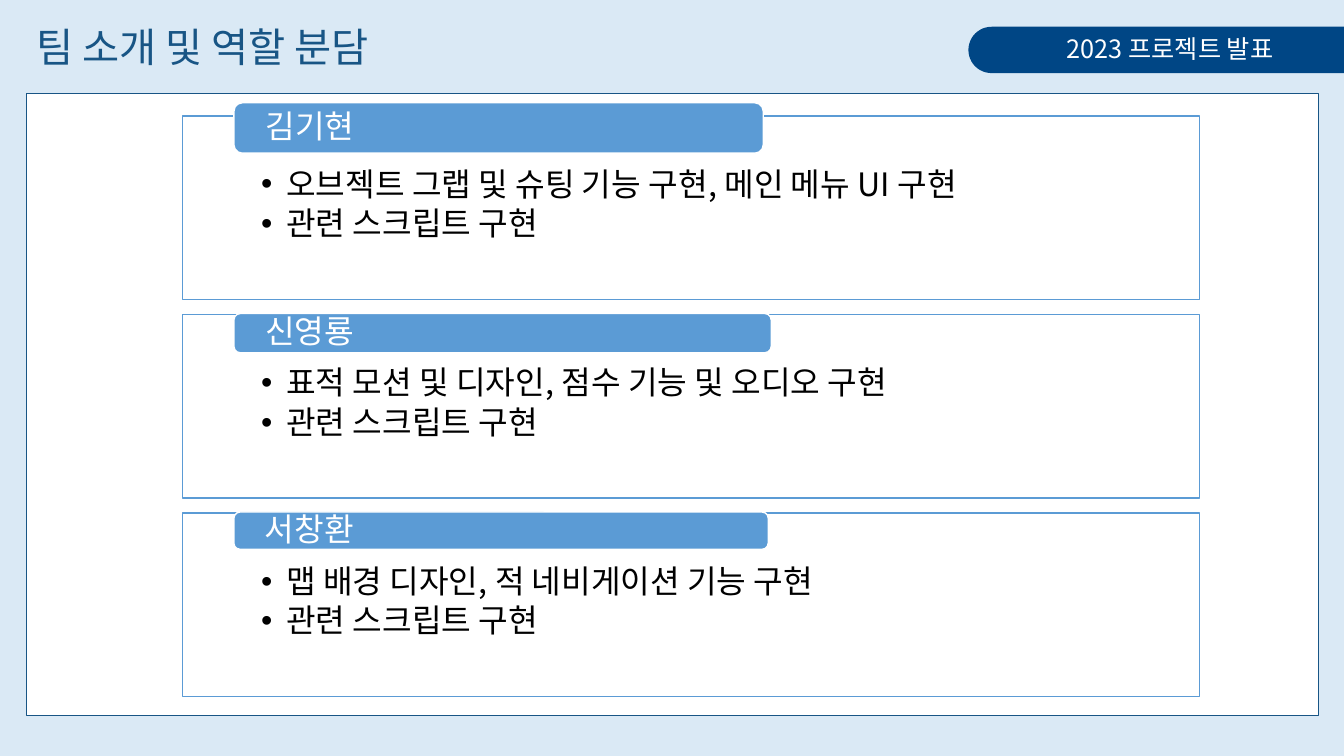
from lxml import etree
from pptx import Presentation
from pptx.dml.color import RGBColor
from pptx.enum.shapes import MSO_SHAPE
from pptx.enum.text import MSO_ANCHOR, PP_ALIGN
from pptx.oxml.ns import qn
from pptx.util import Inches, Pt

RECTANGLE = MSO_SHAPE.RECTANGLE
ROUNDED = MSO_SHAPE.ROUNDED_RECTANGLE
ROUND_TOP = MSO_SHAPE.ROUND_2_SAME_RECTANGLE
TOP, MIDDLE = MSO_ANCHOR.TOP, MSO_ANCHOR.MIDDLE
LEFT, CENTER = PP_ALIGN.LEFT, PP_ALIGN.CENTER
FONT = "Noto Sans CJK KR"
WHITE, BLACK, NAVY, BLUE, ACCENT, PALE = (
    "FFFFFF", "000000", "004685", "185585", "5B9BD5", "DAE9F5")

CARD_LEFT, CARD_TOP, CARD_WIDTH, CARD_HEIGHT, CARD_PITCH = 1.81, 1.15, 10.09, 1.82, 1.97
TAB_LEFT = 2.32
SHARED_TASK = "관련 스크립트 구현"
MEMBERS = [
    ("김기현", "오브젝트 그랩 및 슈팅 기능 구현, 메인 메뉴 UI 구현", (-0.13, 5.25, 0.5)),
    ("신영룡", "표적 모션 및 디자인, 점수 기능 및 오디오 구현", (-0.01, 5.33, 0.39)),
    ("서창환", "맵 배경 디자인, 적 네비게이션 기능 구현", (-0.01, 5.3, 0.37)),
]


def color(value):
    return RGBColor.from_string(value)


def add_box(slide, kind, box, fill, line=None):
    shape = slide.shapes.add_shape(kind, *map(Inches, box))
    shape.shadow.inherit = False
    shape.fill.solid()
    shape.fill.fore_color.rgb = color(fill)
    if line:
        shape.line.color.rgb = color(line)
        shape.line.width = Pt(1)
    else:
        shape.line.fill.background()
    return shape


def add_bullet(paragraph):
    properties = paragraph._p.get_or_add_pPr()
    properties.set("marL", str(Inches(0.25)))
    properties.set("indent", str(Inches(-0.25)))
    etree.SubElement(properties, qn("a:buFont")).set("typeface", "Arial")
    etree.SubElement(properties, qn("a:buChar")).set("char", "•")


def write(shape, lines, size, ink, insets, anchor=MIDDLE, align=LEFT,
          spacing=0.9, after=0, wrap=True, bullets=False):
    frame = shape.text_frame
    margins = dict(zip(("margin_left", "margin_top", "margin_right", "margin_bottom"),
                       map(Inches, insets)))
    for name, value in {**margins, "word_wrap": wrap, "vertical_anchor": anchor}.items():
        setattr(frame, name, value)
    for index, line in enumerate(lines):
        paragraph = frame.paragraphs[0] if index == 0 else frame.add_paragraph()
        for name, value in {"alignment": align, "line_spacing": spacing,
                            "space_after": Pt(after)}.items():
            setattr(paragraph, name, value)
        if bullets:
            add_bullet(paragraph)
        run = paragraph.add_run()
        run.text = line
        for name, value in {"size": Pt(size), "name": FONT}.items():
            setattr(run.font, name, value)
        run.font.color.rgb = color(ink)
        east_asian = etree.SubElement(run._r.get_or_add_rPr(), qn("a:ea"))
        east_asian.set("typeface", FONT)


def add_label(slide, box, text, size, ink, **options):
    label = slide.shapes.add_textbox(*map(Inches, box))
    write(label, [text], size, ink, (0.1, 0.05, 0.1, 0.05), **options)


def add_ribbon(slide):
    ribbon = add_box(slide, ROUND_TOP, (11.24, -1.37, 0.46, 3.73), NAVY)
    ribbon.adjustments[0] = 0.5
    ribbon.rotation = 270
    add_label(slide, (10.38, 0.28, 2.45, 0.4), "2023 프로젝트 발표", 18, WHITE,
              anchor=TOP, align=CENTER, spacing=1.0, wrap=False)


def add_member(slide, row, name, task, tab_size):
    top = CARD_TOP + row * CARD_PITCH
    offset, tab_width, tab_height = tab_size
    card = add_box(slide, RECTANGLE, (CARD_LEFT, top, CARD_WIDTH, CARD_HEIGHT), WHITE, ACCENT)
    write(card, [task, SHARED_TASK], 23, BLACK, (0.78, 0.52, 0.78, 0.18),
          anchor=TOP, after=3.45, bullets=True)
    tab = add_box(slide, ROUNDED, (TAB_LEFT, top + offset, tab_width, tab_height), ACCENT, WHITE)
    write(tab, [name], 23, WHITE, (0.29, 0, 0.29, 0))


def main():
    presentation = Presentation()
    presentation.slide_width = Inches(13.33)
    presentation.slide_height = Inches(7.5)
    slide = presentation.slides.add_slide(presentation.slide_layouts[6])
    slide.background.fill.solid()
    slide.background.fill.fore_color.rgb = color(PALE)
    add_box(slide, RECTANGLE, (0.26, 0.93, 12.82, 6.17), WHITE, BLUE)
    add_ribbon(slide)
    add_label(slide, (0.26, 0.28, 8.33, 0.43), "팀 소개 및 역할 분담", 28.8, BLUE)
    for row, member in enumerate(MEMBERS):
        add_member(slide, row, *member)
    presentation.save("out.pptx")


if __name__ == "__main__":
    main()
